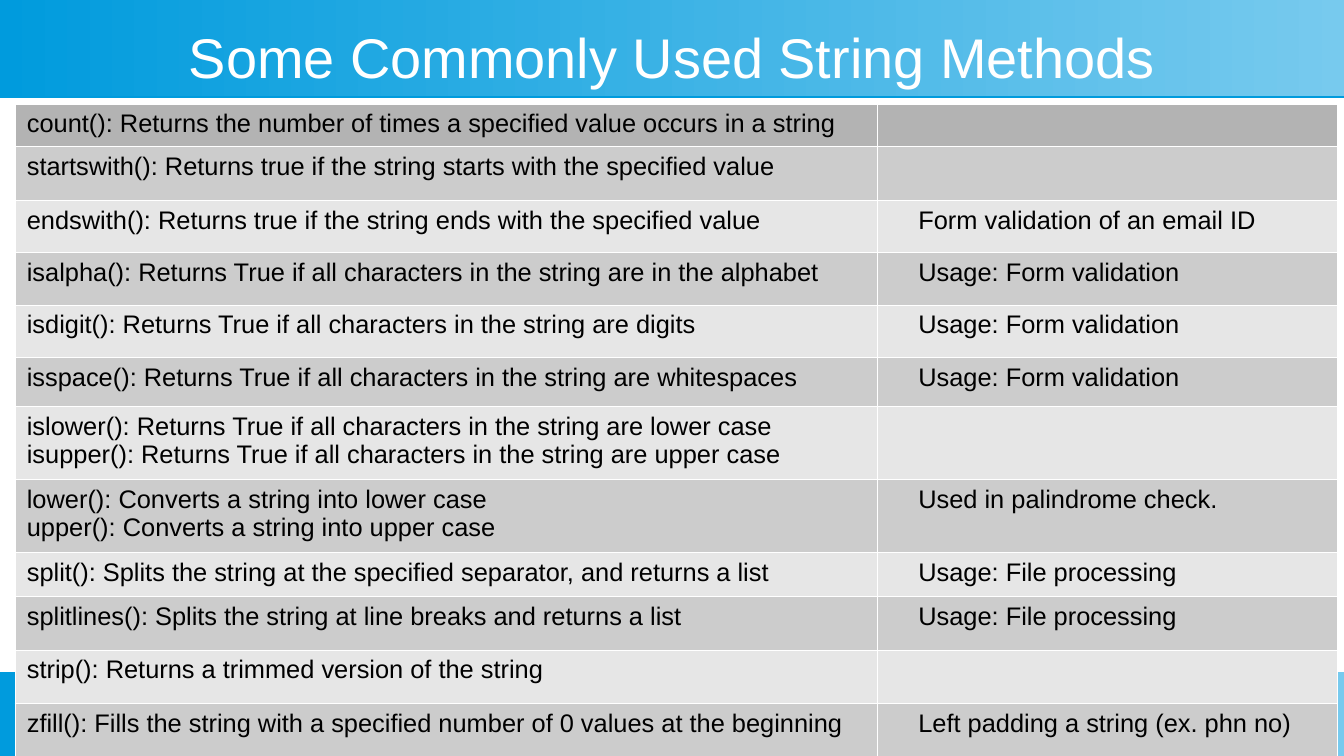
from lxml import etree
from pptx import Presentation
from pptx.dml.color import RGBColor
from pptx.enum.shapes import MSO_SHAPE
from pptx.enum.text import MSO_ANCHOR, PP_ALIGN
from pptx.oxml import parse_xml
from pptx.oxml.ns import nsdecls, qn
from pptx.util import Inches, Pt

RECT = MSO_SHAPE.RECTANGLE
MIDDLE = MSO_ANCHOR.MIDDLE
CENTER = PP_ALIGN.CENTER
COLORS = {"blue": "009BDD", "sky": "77CAEE", "white": "FFFFFF", "black": "000000",
          "head": "B3B3B3", "odd": "CCCCCC", "even": "E6E6E6"}
RGB = {name: RGBColor.from_string(value) for name, value in COLORS.items()}
INDENT = Inches(0.24)

METHODS = [
    (0.35, ["count(): Returns the number of times a specified value occurs in a string"], ""),
    (0.44, ["startswith(): Returns true if the string starts with the specified value"], ""),
    (0.43, ["endswith(): Returns true if the string ends with the specified value"],
     "Form validation of an email ID"),
    (0.43, ["isalpha(): Returns True if all characters in the string are in the alphabet"],
     "Usage: Form validation"),
    (0.43, ["isdigit(): Returns True if all characters in the string are digits"],
     "Usage: Form validation"),
    (0.4, ["isspace(): Returns True if all characters in the string are whitespaces"],
     "Usage: Form validation"),
    (0.6, ["islower(): Returns True if all characters in the string are lower case",
           "isupper(): Returns True if all characters in the string are upper case"], ""),
    (0.6, ["lower(): Converts a string into lower case",
           "upper(): Converts a string into upper case"], "Used in palindrome check."),
    (0.36, ["split(): Splits the string at the specified separator, and returns a list"],
     "Usage: File processing"),
    (0.44, ["splitlines(): Splits the string at line breaks and returns a list"],
     "Usage: File processing"),
    (0.44, ["strip(): Returns a trimmed version of the string"], ""),
    (0.44, ["zfill(): Fills the string with a specified number of 0 values at the beginning"],
     "Left padding a string (ex. phn no)"),
]


def add_text(p, text, size, color):
    if not text:
        etree.SubElement(p._p, qn("a:endParaRPr"), sz=str(size * 100))
        return
    r = p.add_run()
    r.text = text
    for key, value in {"size": Pt(size), "name": "Arial"}.items():
        setattr(r.font, key, value)
    r.font.color.rgb = RGB[color]


prs = Presentation()
prs.slide_width = Inches(11.02)
prs.slide_height = Inches(6.2)
s = prs.slides.add_slide(prs.slide_layouts[6])

for top, height in [(0, 0.79), (5.51, 0.69)]:
    sp = s.shapes.add_shape(RECT, 0, Inches(top), prs.slide_width, Inches(height))
    sp.line.fill.background()
    sp.fill.gradient()
    sp.fill.gradient_angle = 0
    for stop, color in zip(sp.fill.gradient_stops, ["blue", "sky"]):
        stop.color.rgb = RGB[color]
    sp._element.spPr.append(parse_xml(
        f'<a:effectLst {nsdecls("a")}><a:outerShdw dist="{Pt(0.9)}" dir="5400000" '
        f'rotWithShape="0"><a:srgbClr val="{COLORS["blue"]}"/></a:outerShdw></a:effectLst>'))

title = s.shapes.add_textbox(Inches(0.39), Inches(0.2), Inches(10.24), Inches(0.52))
tf = title.text_frame
for key, value in {"word_wrap": True, "vertical_anchor": MIDDLE, "margin_left": 0,
                   "margin_right": 0, "margin_top": 0, "margin_bottom": 0}.items():
    setattr(tf, key, value)
tf.paragraphs[0].alignment = CENTER
add_text(tf.paragraphs[0], "Some Commonly Used String Methods", 33, "white")

height = sum(row[0] for row in METHODS)
table = s.shapes.add_table(len(METHODS), 2, Inches(0.12), Inches(0.85),
                           Inches(10.84), Inches(height)).table
table.first_row = False
table.horz_banding = False
for column, width in zip(table.columns, [7.07, 3.77]):
    column.width = Inches(width)

for i, (row_height, description, usage) in enumerate(METHODS):
    table.rows[i].height = Inches(row_height)
    shade = "head" if i == 0 else "odd" if i % 2 else "even"
    for j, lines in enumerate([description, [usage]]):
        cell = table.cell(i, j)
        tcPr = cell._tc.get_or_add_tcPr()
        for side in ["L", "R", "T", "B"]:
            tcPr.append(parse_xml(
                f'<a:ln{side} {nsdecls("a")} w="{Pt(0.06)}"><a:solidFill>'
                f'<a:srgbClr val="{COLORS["white"]}"/></a:solidFill></a:ln{side}>'))
        cell.fill.solid()
        cell.fill.fore_color.rgb = RGB[shade]
        tf = cell.text_frame
        for n, line in enumerate(lines):
            p = tf.add_paragraph() if n else tf.paragraphs[0]
            if j:
                p._p.get_or_add_pPr().set("marL", str(INDENT))
            add_text(p, line, 15, "black")

prs.save("out.pptx")
